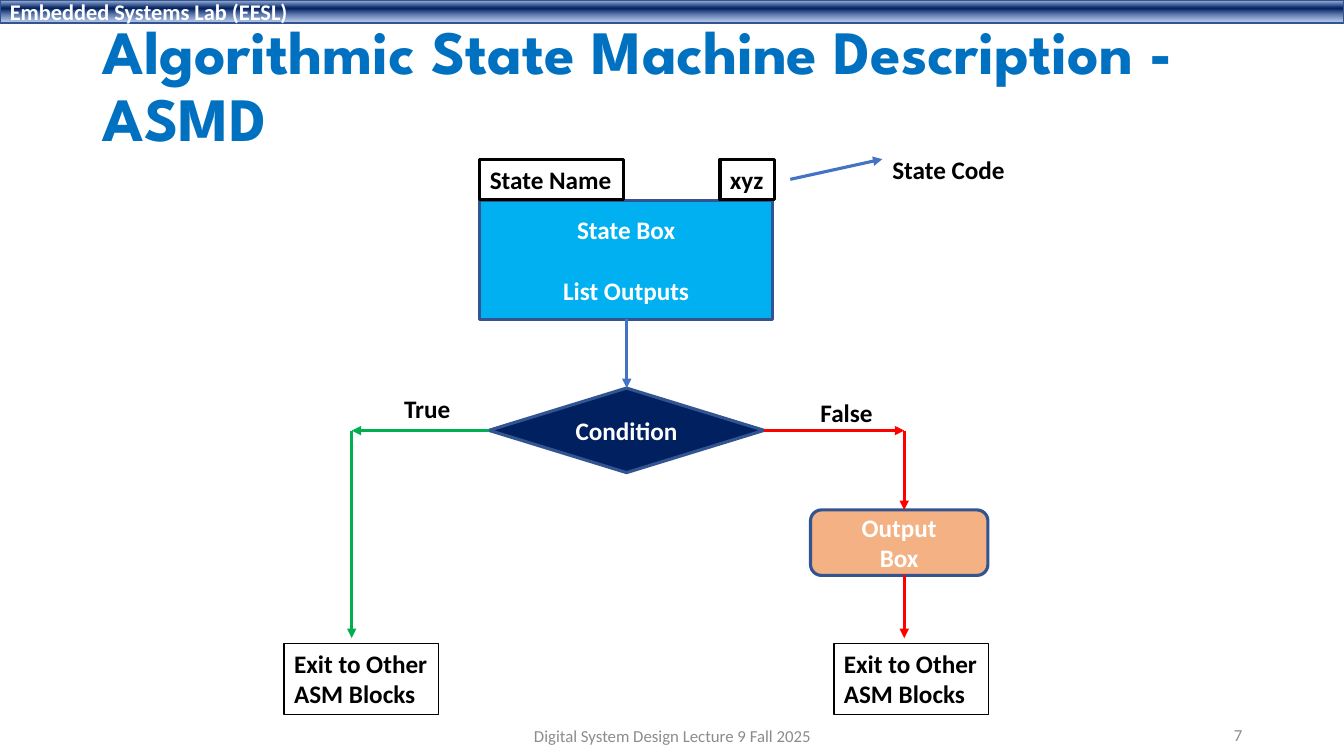
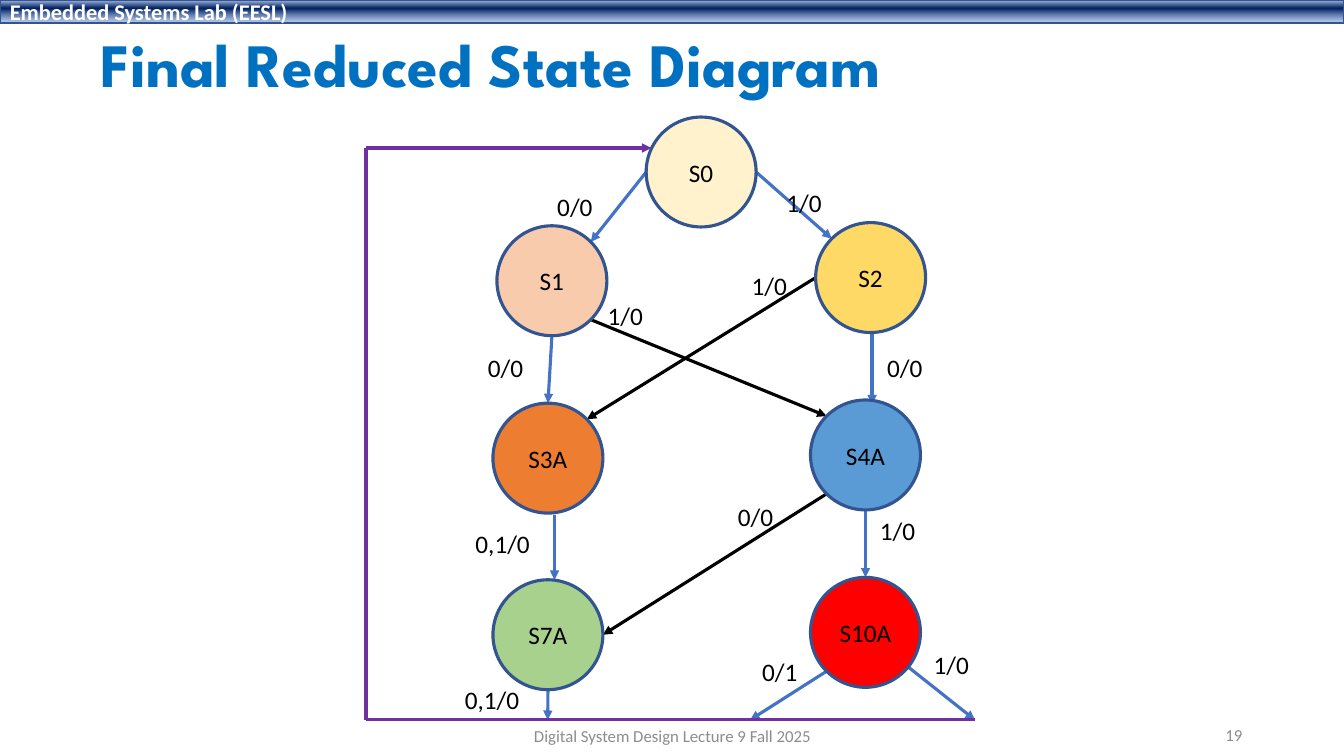
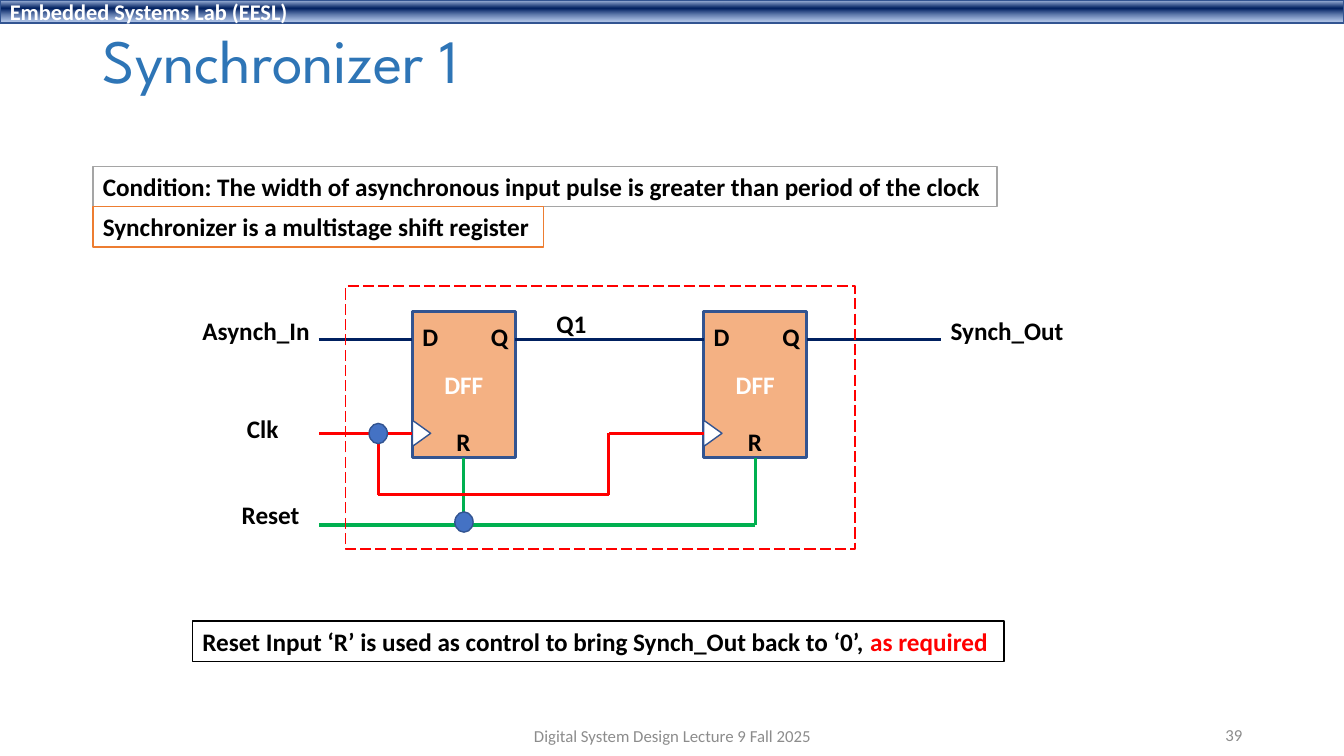
import math

import pptx
import pptx.dml.color
import pptx.enum.dml
import pptx.enum.shapes
import pptx.enum.text
import pptx.oxml
import pptx.oxml.ns
import pptx.util

Cm = pptx.util.Cm
Pt = pptx.util.Pt
SHAPE = pptx.enum.shapes.MSO_SHAPE
ALIGN = pptx.enum.text.PP_ALIGN
ANCHOR = pptx.enum.text.MSO_ANCHOR
AUTO_SIZE = pptx.enum.text.MSO_AUTO_SIZE

# Shared colours
BLACK, WHITE, GREY = "000000", "FFFFFF", "8C8C8C"
OUTLINE, BLUE, NAVY = "325491", "4472C4", "002060"
RED, GREEN, PURPLE = "FF0000", "00B050", "7030A0"
PEACH, ORANGE, SILVER = "F4B183", "ED7D31", "A5A5A5"
TITLE_BLUE, TITLE_STEEL = "0070C0", "2E75B6"

# Shared text styles: font attributes, paragraph attributes, colour
STYLES = {
    "title": ({"name": "League Spartan", "size": Pt(44), "bold": True},
              {"alignment": ALIGN.LEFT, "line_spacing": 0.9}, TITLE_BLUE),
    "light title": ({"name": "League Spartan", "size": Pt(44), "bold": False},
                    {"alignment": ALIGN.LEFT, "line_spacing": 0.9}, TITLE_STEEL),
    "band": ({"name": "Calibri", "size": Pt(16), "bold": True},
             {"alignment": ALIGN.LEFT}, WHITE),
    "label": ({"name": "Calibri", "size": Pt(18), "bold": True},
              {"alignment": ALIGN.LEFT}, BLACK),
    "plain label": ({"name": "Calibri", "size": Pt(18)},
                    {"alignment": ALIGN.LEFT}, BLACK),
    "box": ({"name": "Calibri", "size": Pt(18), "bold": True},
            {"alignment": ALIGN.CENTER}, WHITE),
    "state": ({"name": "Calibri", "size": Pt(18)},
              {"alignment": ALIGN.CENTER}, BLACK),
    "footer": ({"name": "Calibri", "size": Pt(12)},
               {"alignment": ALIGN.CENTER}, GREY),
    "number": ({"name": "Calibri", "size": Pt(12)},
               {"alignment": ALIGN.RIGHT}, GREY),
}
LABEL_FRAME = {"word_wrap": False, "auto_size": AUTO_SIZE.SHAPE_TO_FIT_TEXT,
               "vertical_anchor": ANCHOR.TOP}
BOX_FRAME = {"word_wrap": True, "auto_size": AUTO_SIZE.NONE,
             "vertical_anchor": ANCHOR.MIDDLE}
ROW = 1.02  # height of a one-line label
BAND_STOPS = [(2, "ABC0E4", 100), (38, NAVY, 100), (93, "7E9ED6", 64)]


# Basic helpers
def rgb(value):
    return pptx.dml.color.RGBColor.from_string(value)


def set_values(target, values):
    for name, value in values.items():
        setattr(target, name, value)


def lengths(*values):
    return [Cm(value) for value in values]


def add_xml(parent, tag, **attributes):
    child = parent.makeelement(pptx.oxml.ns.qn(tag), attributes)
    parent.append(child)
    return child


def write(shape, text, style, frame_values):
    """Lines become paragraphs; a (text, colour) pair is a coloured run."""
    font_values, paragraph_values, colour = STYLES[style]
    frame = shape.text_frame
    set_values(frame, frame_values)
    lines = text.split("\n") if isinstance(text, str) else [text]
    for index, line in enumerate(lines):
        paragraph = frame.add_paragraph() if index else frame.paragraphs[0]
        set_values(paragraph, paragraph_values)
        for part, run_colour in [(line, colour)] if isinstance(line, str) else line:
            run = paragraph.add_run()
            run.text = part
            set_values(run.font, font_values)
            run.font.color.rgb = rgb(run_colour)


# Kinds of element
def add_box(slide, kind, place, fill=None, line=OUTLINE, width=2.25,
            text=None, style="box", frame=BOX_FRAME):
    shape = slide.shapes.add_shape(kind, *lengths(*place))
    shape.shadow.inherit = False
    if fill:
        shape.fill.solid()
        shape.fill.fore_color.rgb = rgb(fill)
    else:
        shape.fill.background()
    shape.line.color.rgb = rgb(line)
    shape.line.width = Pt(width)
    if text:
        write(shape, text, style, frame)
    return shape


def add_note(slide, place, text, line=BLACK, width=1.0, fill=WHITE):
    add_box(slide, SHAPE.RECTANGLE, place, fill, line, width, text,
            "label", LABEL_FRAME)


def add_label(slide, left, top, width, text, style="label", frame=LABEL_FRAME):
    label = slide.shapes.add_textbox(*lengths(left, top, width, ROW))
    write(label, text, style, frame)


def add_line(slide, start, end, colour, arrow=False):
    line = slide.shapes.add_connector(
        pptx.enum.shapes.MSO_CONNECTOR.STRAIGHT, *lengths(*start, *end))
    line.line.color.rgb = rgb(colour)
    line.line.width = Pt(2.25)
    if arrow:
        add_xml(line.line._get_or_add_ln(), "a:tailEnd", type="triangle")
    add_xml(line.element.spPr, "a:effectLst")


def add_route(slide, points, colour, arrows=()):
    """Joined segments; arrows holds the numbers of those with a head."""
    for index, (start, end) in enumerate(zip(points, points[1:])):
        add_line(slide, start, end, colour, index in arrows)


# Shared frame of the slides
def add_band(slide, layout):
    band = add_box(slide, SHAPE.RECTANGLE, (0, 0, 33.86, 0.58), WHITE, OUTLINE, 1,
                   "Embedded Systems Lab (EESL)", "band")
    properties = band.element.spPr
    gradient = add_xml(properties, "a:gradFill", rotWithShape="1")
    stops = add_xml(gradient, "a:gsLst")
    for position, colour, opacity in BAND_STOPS:
        stop = add_xml(stops, "a:gs", pos=str(position * 1000))
        value = add_xml(stop, "a:srgbClr", val=colour)
        if opacity < 100:
            add_xml(value, "a:alpha", val=str(opacity * 1000))
    add_xml(gradient, "a:lin", ang="5400000", scaled="0")
    properties.replace(properties.find(pptx.oxml.ns.qn("a:solidFill")), gradient)
    band.element.nvSpPr.cNvPr.set("id", "100")
    layout.shapes.element.append(band.element)


def add_slide(presentation, title, place, number, style="title"):
    layout = presentation.slide_layouts.get_by_name("Title Only")
    slide = presentation.slides.add_slide(layout)
    if len(presentation.slides) == 1:
        add_band(slide, layout)
    heading = slide.shapes.title
    set_values(heading, dict(zip(("left", "top", "width", "height"), lengths(*place))))
    write(heading, title, style, BOX_FRAME)
    add_label(slide, 11.23, 18.03, 11.43, "Digital System Design Lecture 9 Fall 2025",
              "footer", BOX_FRAME)
    add_label(slide, 23.93, 18.01, 7.62, str(number), "number", BOX_FRAME)
    return slide


# Slide: ASMD chart
def build_asmd(presentation):
    slide = add_slide(presentation, "Algorithmic State Machine Description - ASMD",
                      (2.34, 0.38, 29.21, 3.68), 7)
    state = add_box(slide, SHAPE.RECTANGLE, (12.09, 5.05, 7.37, 3), "00B0F0",
                    text="State Box\nList Outputs")
    state.text_frame.paragraphs[1].space_before = Pt(22)
    add_note(slide, (18.14, 4.01, 1.37, ROW), "xyz", width=2.25, fill=None)
    add_note(slide, (12.09, 4.01, 3.61, ROW), "State Name", width=2.25, fill=None)
    add_box(slide, SHAPE.FLOWCHART_DECISION, (12.32, 9.78, 6.93, 2.13), NAVY,
            text="Condition")
    add_box(slide, SHAPE.FLOWCHART_ALTERNATE_PROCESS, (20.42, 12.85, 4.47, 1.65),
            PEACH, text="Output\nBox")
    for left in (7.16, 21.01):
        add_note(slide, (left, 16.21, 3.89, 1.8), "Exit to Other\nASM Blocks")

    branch_y, exit_y, true_x, false_x = 10.85, 16.08, 8.86, 22.78
    add_line(slide, (15.79, 8.05), (15.79, 9.78), BLUE, True)
    add_line(slide, (19.91, 4.52), (22.23, 4.01), BLUE, True)
    add_route(slide, [(12.32, branch_y), (true_x, branch_y), (true_x, exit_y)],
              GREEN, (0, 1))
    add_route(slide, [(19.25, branch_y), (false_x, branch_y), (false_x, 12.85)],
              RED, (0, 1))
    add_line(slide, (false_x, 14.5), (false_x, exit_y), RED, True)

    add_label(slide, 9.93, 9.78, 1.68, "True")
    add_label(slide, 20.42, 9.88, 1.83, "False")
    add_label(slide, 22.23, 3.76, 3.38, "State Code")


# Slide: state diagram
DIAMETER = 2.77
STATES = {
    "S0": (16.28, 2.95, "FFF2CC"),
    "S1": (12.52, 5.69, "F8CBAD"),
    "S2": (20.55, 5.61, "FFD966"),
    "S3A": (12.42, 10.16, ORANGE),
    "S4A": (20.42, 10.08, "5B9BD5"),
    "S7A": (12.42, 14.61, "A9D18E"),
    "S10A": (20.42, 14.55, RED),
}
COMPASS = ["E", "SE", "S", "SW", "W", "NW", "N", "NE"]
TRANSITIONS = [
    ("S0", "W", "S1", "NE", BLUE), ("S0", "E", "S2", "NW", BLUE),
    ("S1", "S", "S3A", "N", BLUE), ("S4A", "S", "S10A", "N", BLUE),
    ("S1", "SE", "S4A", "NW", BLACK), ("S2", "W", "S3A", "NE", BLACK),
    ("S4A", "SW", "S7A", "E", BLACK),
]
TRANSITION_LABELS = [
    (13.79, 4.7, "0/0"), (19.56, 4.6, "1/0"), (15.06, 7.44, "1/0"),
    (18.69, 6.68, "1/0"), (18.34, 12.5, "0/0"), (22.1, 8.76, "0/0"),
    (21.92, 12.85, "1/0"), (18.95, 16.41, "0/1"), (23.27, 16.23, "1/0"),
    (11.46, 17.12, "0,1/0"), (11.73, 13.18, "0,1/0"), (12.04, 8.76, "0/0"),
]


def rim(state, direction):
    left, top, _ = STATES[state]
    angle = COMPASS.index(direction) * math.pi / 4
    radius = DIAMETER / 2
    return (left + radius * (1 + math.cos(angle)),
            top + radius * (1 + math.sin(angle)))


def build_state_diagram(presentation):
    slide = add_slide(presentation, "Final Reduced State Diagram",
                      (2.29, 0.58, 29.21, 2.24), 19)
    for source, leaving, target, entering, colour in TRANSITIONS:
        add_line(slide, rim(source, leaving), rim(target, entering), colour, True)

    return_y, return_x, entry_y = 18.14, 9.22, 3.73
    for start, end in [
        ((21.97, 8.38), (21.97, 10.19)),
        ((13.97, 12.98), (13.97, 14.61)),
        (rim("S7A", "S"), (13.8, return_y)),
        (rim("S10A", "SW"), (18.9, return_y)),
        ((22.86, 16.79), (24.56, return_y)),
    ]:
        add_line(slide, start, end, BLUE, True)
    add_route(slide, [(24.56, return_y), (return_x, return_y), (return_x, entry_y),
                      (16.41, entry_y)], PURPLE, (2,))

    for name, (left, top, fill) in STATES.items():
        add_box(slide, SHAPE.OVAL, (left, top, DIAMETER, DIAMETER), fill,
                text=name, style="state")
    for left, top, text in TRANSITION_LABELS:
        add_label(slide, left, top, 1.42 if len(text) == 3 else 1.9, text,
                  "plain label")


# Slide: synchronizer circuit
DATA_Y, CLOCK_Y, RESET_Y = 8.56, 10.92, 13.23
FLIP_FLOP_TOP, FLIP_FLOP_WIDTH, FLIP_FLOP_HEIGHT = 7.85, 2.59, 3.68


def add_flip_flop(slide, left):
    add_box(slide, SHAPE.RECTANGLE,
            (left, FLIP_FLOP_TOP, FLIP_FLOP_WIDTH, FLIP_FLOP_HEIGHT), PEACH, text="DFF")
    clock_mark = add_box(slide, SHAPE.ISOSCELES_TRIANGLE,
                         (left - 0.1, CLOCK_Y - 0.23, 0.66, 0.46), WHITE, width=1)
    clock_mark.rotation = 90
    for offset, top, pin in [(0, 7.98, "D"), (1.73, 7.98, "Q"), (0.86, 10.62, "R")]:
        add_label(slide, left + offset, top, 0.88, pin)


def build_synchronizer(presentation):
    slide = add_slide(presentation, "Synchronizer 1", (2.34, 0.38, 29.21, 2.46), 39,
                      "light title")
    add_note(slide, (2.34, 4.19, 22.78, ROW), "Condition: The width of asynchronous "
             "input pulse is greater than period of the clock", SILVER)
    add_note(slide, (2.34, 5.21, 11.35, ROW),
             "Synchronizer is a multistage shift register", ORANGE)
    add_note(slide, (4.85, 15.65, 20.45, ROW),
             [[("Reset Input ‘R’ is used as control to bring Synch_Out back to ‘0’, ",
                BLACK), ("as required", RED)]][0])

    # Flip-flops and wires
    first, second, input_x = 10.39, 17.73, 8.03
    for left in (first, second):
        add_flip_flop(slide, left)
    for start, end in [(input_x, first), (first + FLIP_FLOP_WIDTH, second),
                       (second + FLIP_FLOP_WIDTH, 23.7)]:
        add_line(slide, (start, DATA_Y), (end, DATA_Y), NAVY)
    reset_pins = [left + FLIP_FLOP_WIDTH / 2 for left in (first, second)]
    pin_y = FLIP_FLOP_TOP + FLIP_FLOP_HEIGHT
    add_line(slide, (reset_pins[0], pin_y), (reset_pins[0], RESET_Y), GREEN)
    add_route(slide, [(reset_pins[1], pin_y), (reset_pins[1], RESET_Y),
                      (input_x, RESET_Y)], GREEN)
    tap_x, loop_x, loop_y = 9.53, 15.34, 12.47
    add_line(slide, (first, CLOCK_Y), (input_x, CLOCK_Y), RED)
    add_route(slide, [(second, CLOCK_Y), (loop_x, CLOCK_Y), (loop_x, loop_y),
                      (tap_x, loop_y), (tap_x, CLOCK_Y)], RED)

    # Boundary, junctions and signal names
    boundary = add_box(slide, SHAPE.RECTANGLE, (8.71, 7.21, 12.83, 6.63),
                       line=RED, width=1)
    boundary.line.dash_style = pptx.enum.dml.MSO_LINE.LONG_DASH
    for left, top in [(11.46, 12.9), (9.3, 10.67)]:
        add_box(slide, SHAPE.OVAL, (left, top, 0.46, 0.51), BLUE, width=1)
    for left, top, width, text in [
        (4.85, 7.82, 3.23, "Asynch_In"), (5.97, 10.29, 1.32, "Clk"),
        (5.84, 12.47, 1.98, "Reset"), (23.7, 7.82, 3.38, "Synch_Out"),
        (13.77, 7.65, 1.27, "Q1"),
    ]:
        add_label(slide, left, top, width, text)


def main():
    presentation = pptx.Presentation()
    presentation.slide_width, presentation.slide_height = lengths(33.86, 19.05)
    build_asmd(presentation)
    build_state_diagram(presentation)
    build_synchronizer(presentation)
    presentation.save("out.pptx")


if __name__ == "__main__":
    main()
